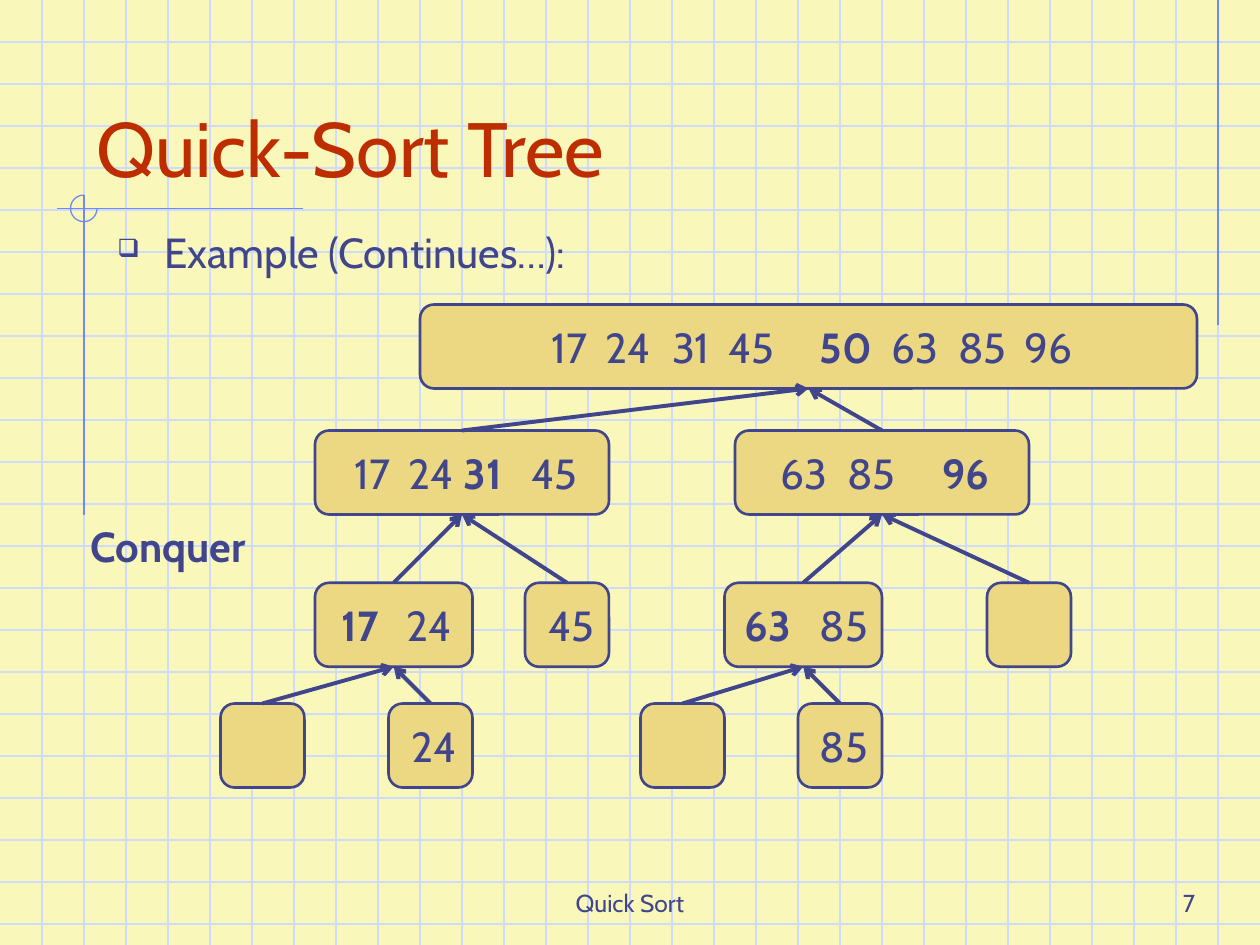
from lxml import etree
from pptx import Presentation
from pptx.dml.color import RGBColor
from pptx.enum.shapes import MSO_CONNECTOR, MSO_SHAPE
from pptx.enum.text import MSO_ANCHOR, PP_ALIGN
from pptx.oxml.ns import qn
from pptx.util import Pt

COLORS = {name: RGBColor.from_string(value) for name, value in {
    "paper": "F9F8BA", "grid": "CFDBFD", "accent": "6F89F7",
    "ink": "40458C", "title": "BE2D00", "node": "ECD882",
}.items()}
WIDTH, HEIGHT = 720, 540

prs = Presentation()
prs.slide_width, prs.slide_height = Pt(WIDTH), Pt(HEIGHT)
slide = prs.slides.add_slide(prs.slide_layouts[6])
slide.background.fill.solid()
slide.background.fill.fore_color.rgb = COLORS["paper"]


def add_line(x1, y1, x2, y2, color, weight=0.75):
    line = slide.shapes.add_connector(
        MSO_CONNECTOR.STRAIGHT, Pt(x1), Pt(y1), Pt(x2), Pt(y2))
    line.line.color.rgb = COLORS[color]
    line.line.width = Pt(weight)
    etree.SubElement(line._element.spPr, qn("a:effectLst"))
    return line


def add_label(text, x, y, w, h, size, color="ink", align=PP_ALIGN.LEFT,
              anchor=MSO_ANCHOR.TOP, bold=False):
    frame = slide.shapes.add_textbox(Pt(x), Pt(y), Pt(w), Pt(h)).text_frame
    frame.word_wrap = True
    frame.vertical_anchor = anchor
    frame.text = text
    paragraph = frame.paragraphs[0]
    paragraph.alignment = align
    font = paragraph.runs[0].font
    font.name, font.size, font.bold = "Cabin", Pt(size), bold
    font.color.rgb = COLORS[color]
    return paragraph


# Graph paper
for y in range(24, HEIGHT, 24):
    add_line(0, y, WIDTH, y, "grid")
for x in range(24, WIDTH, 24):
    add_line(x, 0, x, HEIGHT, "grid")

# Margin rules and the ring where they cross
add_line(696, 0, 696, 186, "accent")
add_line(173, 119.3, 32.5, 119.3, "accent")
add_line(48, 111.5, 48, 294.5, "accent")
ring = slide.shapes.add_shape(
    MSO_SHAPE.ARC, Pt(40.3), Pt(111.5), Pt(15.2), Pt(15.2))
ring.adjustments[0], ring.adjustments[1] = 0, 162  # 0 to 270 degrees
ring.shadow.inherit = False
ring.fill.background()
ring.line.color.rgb = COLORS["accent"]
ring.line.width = Pt(0.75)

# Footer, title and body text
add_label("Quick Sort", 246, 492, 228, 36, 14,
          align=PP_ALIGN.CENTER, anchor=MSO_ANCHOR.BOTTOM)
add_label("7", 540, 492, 150, 36, 14,
          align=PP_ALIGN.RIGHT, anchor=MSO_ANCHOR.BOTTOM)
add_label("Quick-Sort Tree", 48, 24, 612, 90, 44, "title",
          anchor=MSO_ANCHOR.BOTTOM)
add_label("Conquer", 30, 294, 132, 36, 24, align=PP_ALIGN.CENTER, bold=True)
example = add_label("Example (Continues…):", 60, 126, 378, 54, 24)
example.space_before = Pt(6)
example_props = example._p.get_or_add_pPr()
example_props.set("marL", str(Pt(27)))
example_props.set("indent", str(Pt(-27)))
bullet_color = etree.SubElement(example_props, qn("a:buClr"))
etree.SubElement(bullet_color, qn("a:srgbClr"), val=str(COLORS["ink"]))
etree.SubElement(example_props, qn("a:buSzPct"), val="60000")
etree.SubElement(example_props, qn("a:buChar"), char="❑")

# Sort tree: name, parent, left, top, width, pivot, {key: centre within node}
ROWS = [174, 246, 333, 402]
NODE_HEIGHT = LEAF = 48
MIDDLE = LEAF / 2
TREE = [
    ("root", None, 240, ROWS[0], 444, "50",
     {"17": 83, "24": 116.5, "31": 152.5, "45": 187, "50": 241,
      "63": 280.5, "85": 319, "96": 357}),
    ("low", "root", 180, ROWS[1], 168, "31",
     {"17": 30.5, "24": 64, "31": 93.5, "45": 134.5}),
    ("high", "root", 420, ROWS[1], 168, "96",
     {"63": 37, "85": 75.5, "96": 129.5}),
    ("low left", "low", 180, ROWS[2], 90, "17", {"17": 23.5, "24": 63}),
    ("low right", "low", 300, ROWS[2], LEAF, None, {"45": MIDDLE}),
    ("high left", "high", 414, ROWS[2], 90, "63", {"63": 22.5, "85": 66}),
    ("high right", "high", 564, ROWS[2], LEAF, None, {}),
    ("leaf 1", "low left", 126, ROWS[3], LEAF, None, {}),
    ("leaf 2", "low left", 222, ROWS[3], LEAF, None, {"24": MIDDLE}),
    ("leaf 3", "high left", 366, ROWS[3], LEAF, None, {}),
    ("leaf 4", "high left", 456, ROWS[3], LEAF, None, {"85": MIDDLE}),
]
nodes = {}
for name, parent, x, y, w, pivot, keys in TREE:
    node = slide.shapes.add_shape(
        MSO_SHAPE.ROUNDED_RECTANGLE, Pt(x), Pt(y), Pt(w), Pt(NODE_HEIGHT))
    nodes[name] = node
    node.shadow.inherit = False
    node.fill.solid()
    node.fill.fore_color.rgb = COLORS["node"]
    node.line.color.rgb = COLORS["ink"]
    node.line.width = Pt(1.5)
    if keys:
        frame = node.text_frame
        frame.margin_left = frame.margin_right = 0
        frame.vertical_anchor = MSO_ANCHOR.MIDDLE
        row = frame.paragraphs[0]
        row.alignment = PP_ALIGN.LEFT
        # Each key is centred on its own tab stop
        stops = etree.SubElement(row._p.get_or_add_pPr(), qn("a:tabLst"))
        for key, centre in keys.items():
            etree.SubElement(stops, qn("a:tab"), pos=str(Pt(centre)), algn="ctr")
            run = row.add_run()
            run.text = "\t" + key
            run.font.name, run.font.size = "Cabin", Pt(24)
            run.font.bold = key == pivot
            run.font.color.rgb = COLORS["ink"]

# Arrows from each child up to its parent
for name, parent, *_ in TREE:
    if parent:
        arrow = add_line(0, 0, 0, 0, "ink", 2.25)
        arrow.begin_connect(nodes[name], 0)
        arrow.end_connect(nodes[parent], 2)
        etree.SubElement(arrow.line._get_or_add_ln(), qn("a:tailEnd"), type="arrow")

prs.save("out.pptx")
